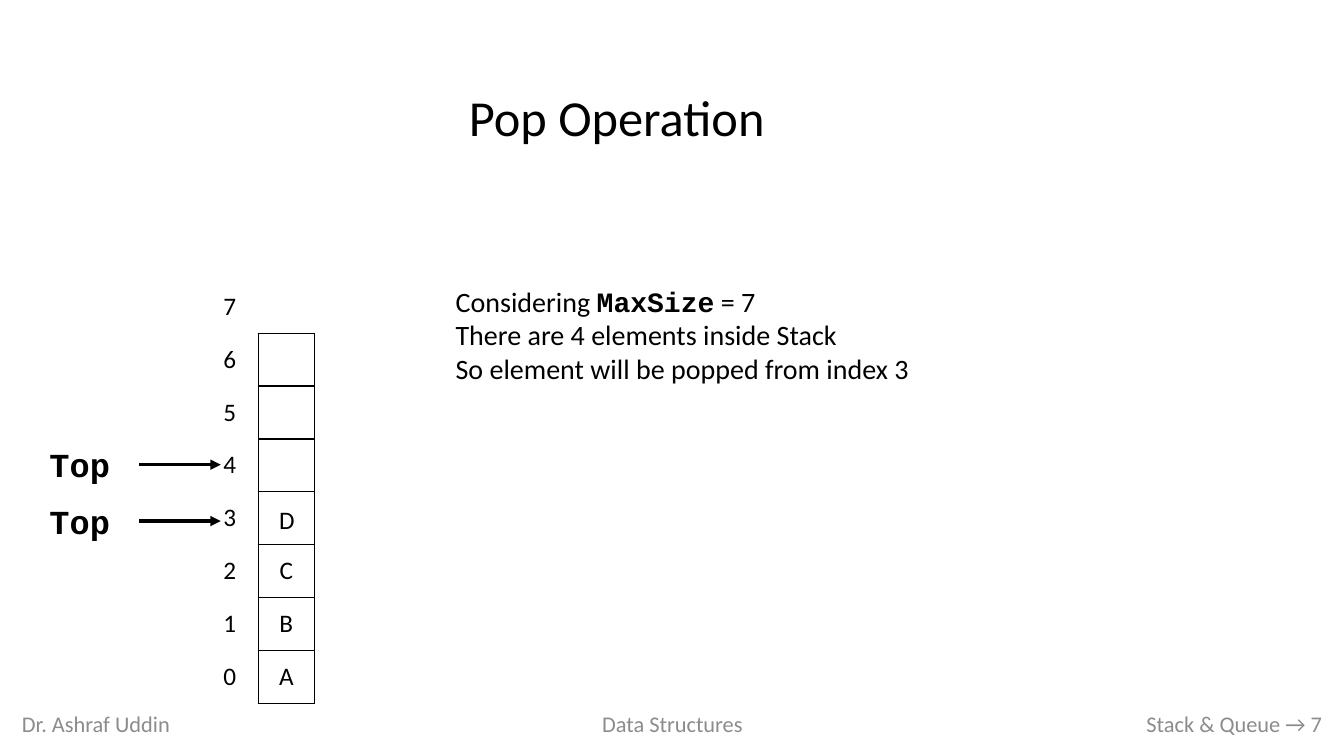
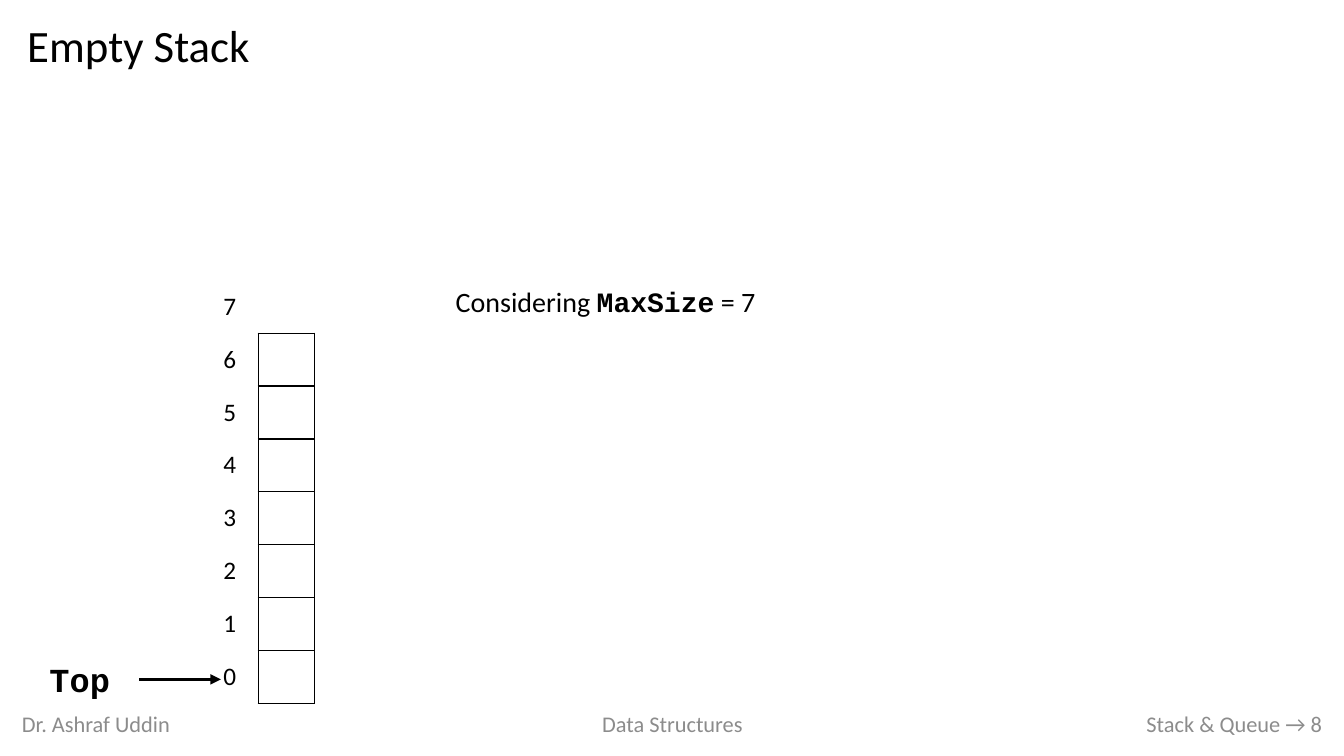
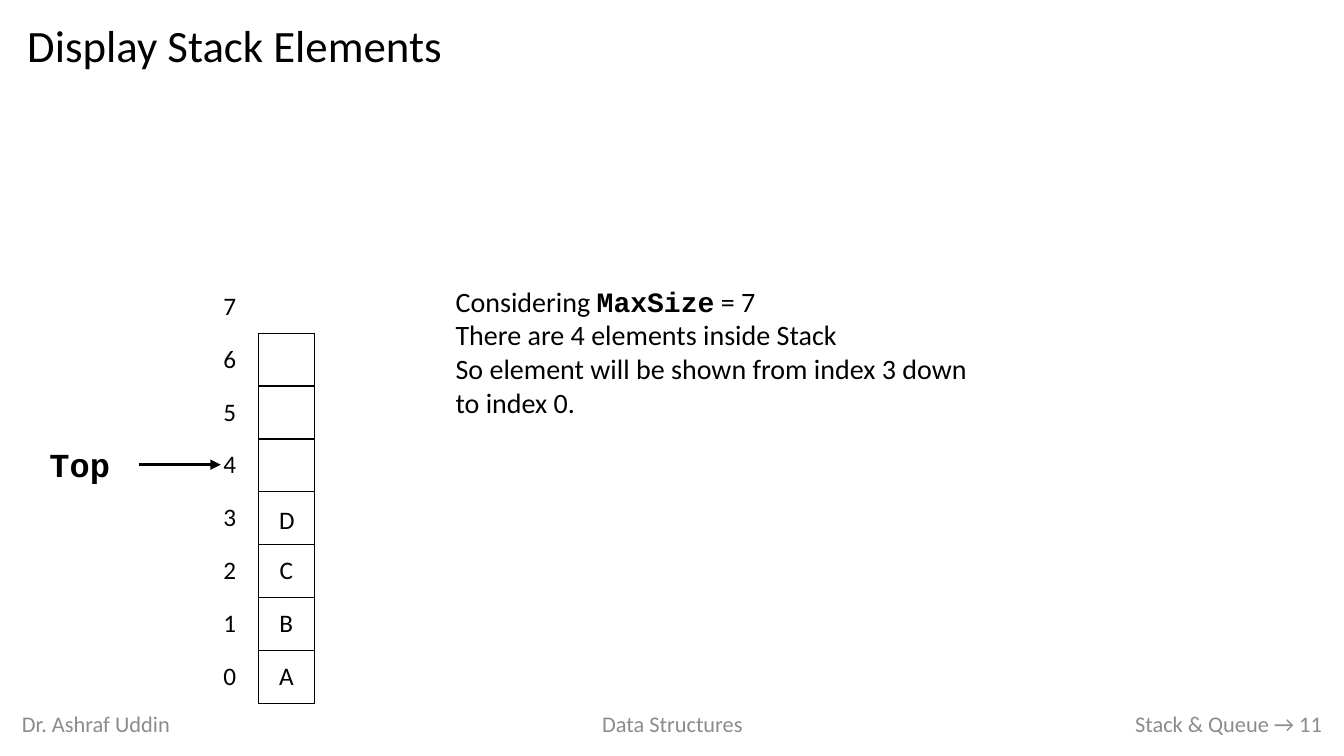
from dataclasses import dataclass

from lxml import etree
from pptx import Presentation
from pptx import util as u
from pptx.dml import color
from pptx.enum import shapes, text
from pptx.oxml import ns


@dataclass(frozen=True)
class Theme:
    """Colours, fonts and type sizes shared by the slides."""
    ink = color.RGBColor.from_string("000000")
    paper = color.RGBColor.from_string("FFFFFF")
    muted = color.RGBColor.from_string("8C8C8C")
    sans = "Calibri"
    mono = "Courier New"
    footer = 16
    cell = 18
    body = 20
    pointer = 24


LEFT, CENTER, RIGHT = text.PP_ALIGN.LEFT, text.PP_ALIGN.CENTER, text.PP_ALIGN.RIGHT
TOP, MIDDLE = text.MSO_ANCHOR.TOP, text.MSO_ANCHOR.MIDDLE
NO_GRID_STYLE = "{2D5ABB26-0587-4C30-8999-92F81FD0307C}"
CAPACITY = 7
ROW_HEIGHT = 0.525
COLUMN_WIDTH = 0.56
POINTER_TOPS = {4: 4.39, 3: 4.95, 0: 6.52}
FOOTERS = [("Dr. Ashraf Uddin", 0.12, 3, LEFT),
           ("Data Structures", 4.42, 4.5, CENTER),
           ("Stack & Queue → {number}", 9.42, 3.79, RIGHT)]

# Title area: left, top, width, height, type size, line spacing
CENTRAL_TITLE = (4.55, 0.8, 3.17, 0.71, 36, 1.0)
CORNER_TITLE = (0.17, 0.19, 12.99, 0.7, 32, 0.9)
FULL = {2: "C", 1: "B", 0: "A"}
COUNT = "There are 4 elements inside Stack"
SLIDES = [
    dict(title="Pop Operation", area=CENTRAL_TITLE, number=7, items=FULL, last="D",
         tops=[3, 4], note=(5.48, 1.11),
         lines=[COUNT, "So element will be popped from index 3"]),
    dict(title="Empty Stack", area=CORNER_TITLE, number=8, items={}, last="",
         tops=[0], note=(3.55, 0.44), lines=[]),
    dict(title="Display Stack Elements", area=CORNER_TITLE, number=11, items=FULL, last="D",
         tops=[4], note=(5.48, 1.45),
         lines=[COUNT, "So element will be shown from index 3 down to index 0."]),
]


def write(frame, lines, size, align=LEFT, anchor=MIDDLE, tone=Theme.ink, mono=False):
    """Fill a text frame; a line is a string or a list of (words, is_code) spans."""
    frame.word_wrap = True
    frame.vertical_anchor = anchor
    for index, line in enumerate(lines):
        para = frame.paragraphs[0] if index == 0 else frame.add_paragraph()
        para.alignment = align
        for words, is_code in [(line, mono)] if isinstance(line, str) else line:
            span = para.add_run()
            span.text = words
            span.font.name = Theme.mono if is_code else Theme.sans
            span.font.size = u.Pt(size)
            span.font.bold = is_code
            span.font.color.rgb = tone


def draw_border(cell, sides):
    """Draw black borders on the named sides (L, R, T, B) of a table cell."""
    properties = cell._tc.get_or_add_tcPr()
    for side in "LRTB":
        if side in sides:
            line = etree.SubElement(properties, ns.qn(f"a:ln{side}"), w=str(u.Pt(1)))
            fill = etree.SubElement(line, ns.qn("a:solidFill"))
            etree.SubElement(fill, ns.qn("a:srgbClr"), val=str(Theme.ink))


deck = Presentation()
deck.slide_width, deck.slide_height = u.Inches(13.33), u.Inches(7.5)

for content in SLIDES:
    page = deck.slides.add_slide(deck.slide_layouts[5])

    left, top, width, height, size, spacing = content["area"]
    title = page.shapes.title
    title.left, title.top = u.Inches(left), u.Inches(top)
    title.width, title.height = u.Inches(width), u.Inches(height)
    write(title.text_frame, [content["title"]], size, anchor=TOP)
    title.text_frame.word_wrap = False
    title.text_frame.auto_size = text.MSO_AUTO_SIZE.NONE
    title.text_frame.paragraphs[0].line_spacing = spacing

    for words, left, width, align in FOOTERS:
        footer = page.shapes.add_textbox(u.Inches(left), u.Inches(6.98),
                                         u.Inches(width), u.Inches(0.4))
        write(footer.text_frame, [words.format(number=content["number"])],
              Theme.footer, align, tone=Theme.muted)

    # Stack cells, highest index first
    rows = CAPACITY + 1
    frame = page.shapes.add_table(rows, 2, u.Inches(2), u.Inches(2.78),
                                  u.Inches(2 * COLUMN_WIDTH), u.Inches(rows * ROW_HEIGHT))
    stack = frame.table
    stack.first_row = stack.horz_banding = False
    stack._tbl.tblPr.find(ns.qn("a:tableStyleId")).text = NO_GRID_STYLE
    for column in stack.columns:
        column.width = u.Inches(COLUMN_WIDTH)
    for row in range(rows):
        index = CAPACITY - row
        stack.rows[row].height = u.Inches(ROW_HEIGHT)
        label, slot = stack.cell(row, 0), stack.cell(row, 1)
        draw_border(label, "R" if row else "")
        draw_border(slot, "LRTB" if row else "B")
        for cell, words in ((label, str(index)), (slot, content["items"].get(index, ""))):
            cell.fill.background()
            cell.vertical_anchor = MIDDLE
            if words:
                write(cell.text_frame, [words], Theme.cell, CENTER)

    for index in content["tops"]:
        top = POINTER_TOPS[index]
        pointer = page.shapes.add_group_shape()
        box = pointer.shapes.add_shape(shapes.MSO_SHAPE.RECTANGLE, u.Inches(0.2), u.Inches(top),
                                       u.Inches(1.18), u.Inches(0.43))
        box.shadow.inherit = False
        box.fill.solid()
        box.fill.fore_color.rgb = Theme.paper
        box.line.fill.background()
        write(box.text_frame, ["Top"], Theme.pointer, CENTER, mono=True)
        middle = u.Inches(top + 0.22)
        arrow = pointer.shapes.add_connector(shapes.MSO_CONNECTOR.STRAIGHT, u.Inches(1.38), middle,
                                             u.Inches(2.19), middle)
        arrow.line.color.rgb = Theme.ink
        arrow.line.width = u.Pt(2.5)
        etree.SubElement(arrow.line._get_or_add_ln(), ns.qn("a:tailEnd"), type="triangle")
        etree.SubElement(arrow._element.spPr, ns.qn("a:effectLst"))

    width, height = content["note"]
    note = page.shapes.add_textbox(u.Inches(4.42), u.Inches(2.77),
                                   u.Inches(width), u.Inches(height))
    limit = [("Considering ", False), ("MaxSize", True), (" = 7", False)]
    write(note.text_frame, [limit, *content["lines"]], Theme.body, anchor=TOP)

    if content["last"]:
        element = page.shapes.add_textbox(u.Inches(2.57), u.Inches(4.89),
                                          u.Inches(0.55), u.Inches(0.52))
        write(element.text_frame, [content["last"]], Theme.cell, CENTER)

deck.save("out.pptx")
